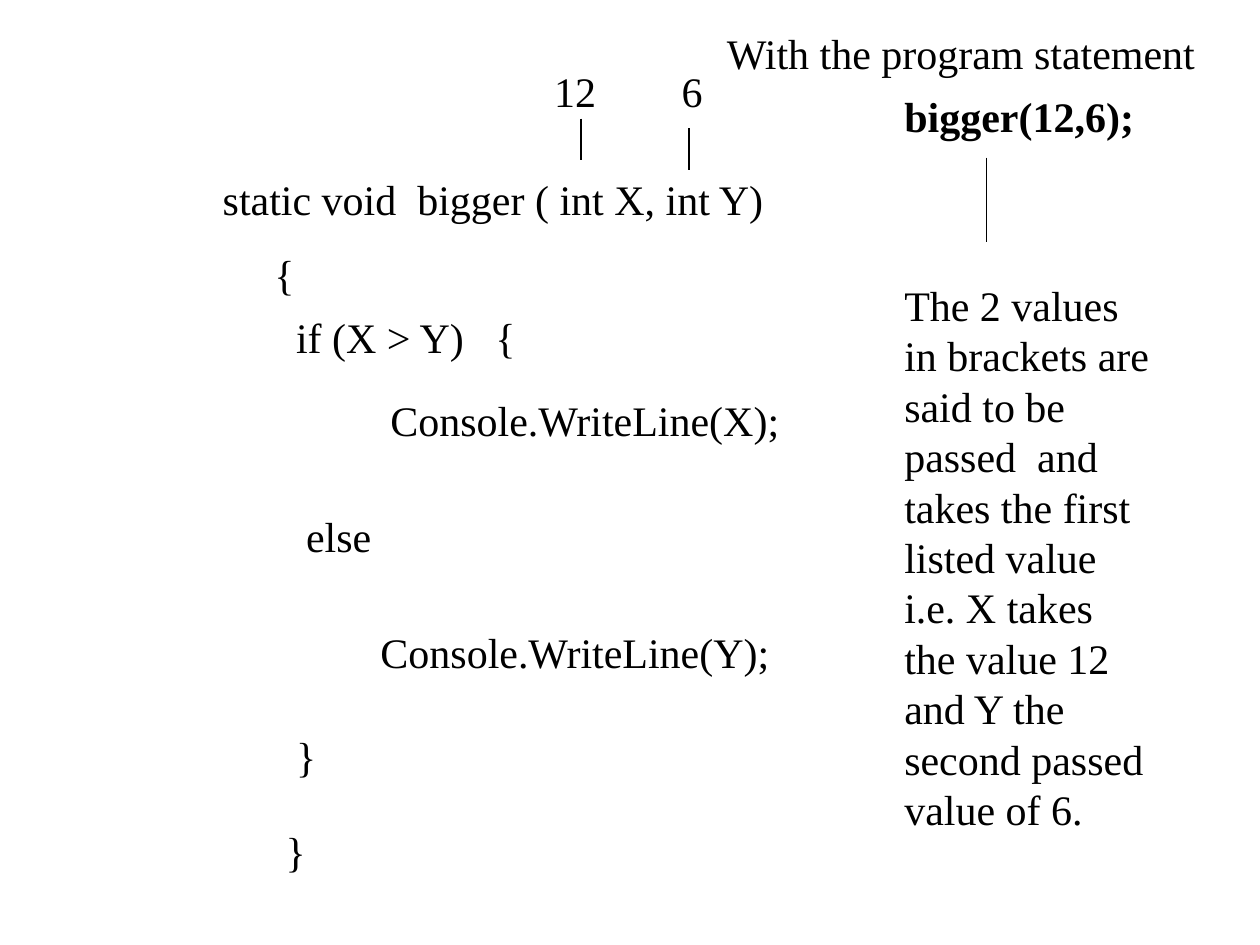
from dataclasses import dataclass

from lxml.etree import SubElement
from pptx import Presentation
from pptx.dml.color import RGBColor
from pptx.enum.shapes import MSO_CONNECTOR as Connector
from pptx.enum.text import MSO_ANCHOR as Anchor, MSO_AUTO_SIZE as AutoSize, PP_ALIGN as Align
from pptx.oxml.ns import qn
from pptx.util import Cm, Pt


@dataclass(frozen=True)
class Theme:
    font: str = "Times New Roman"
    size: int = 24
    ink: RGBColor = RGBColor(0, 0, 0)
    paper: RGBColor = RGBColor(255, 255, 255)
    line_width: float = 0.75


THEME = Theme()
ROW_HEIGHT = 1.27
NOTE_LEFT = 17.98

# Code lines: left, top, width (cm), wording
CODE = [
    (4.24, 3.38, 16.31, "static void  bigger ( int X, int Y)"),
    (5.28, 4.88, 2.11, "{"),
    (5.72, 6.15, 5.92, "if (X > Y)   {"),
    (7.62, 7.82, 9.53, "Console.WriteLine(X);"),
    (5.92, 10.16, 2.74, "else"),
    (7.42, 12.5, 8.89, "Console.WriteLine(Y);"),
    (5.72, 14.6, 3.18, "}"),
    (5.51, 16.51, 5.28, "}"),
]

# Passed values above the parameters
VALUES = [(10.92, 1.19, 1.7, "12"), (13.49, 1.19, 1.47, "6")]

# Vertical links: x, top, length (cm)
LINKS = [(11.71, 2.39, 0.84), (13.89, 2.59, 0.84), (19.89, 3.18, 1.7)]

EXPLANATION = (
    "The 2 values in brackets are said to be passed  and takes the first listed value "
    "i.e. X takes the value 12 and Y the second passed value of 6."
)


def write_text(box, text, bold=False):
    frame = box.text_frame
    frame.word_wrap = True
    frame.auto_size = AutoSize.SHAPE_TO_FIT_TEXT
    frame.vertical_anchor = Anchor.TOP
    para = frame.paragraphs[0]
    para.alignment = Align.LEFT
    span = para.add_run()
    span.text = text
    span.font.name = THEME.font
    span.font.size = Pt(THEME.size)
    span.font.bold = bold
    span.font.color.rgb = THEME.ink


def add_text(page, left, top, width, text, height=ROW_HEIGHT, bold=False):
    box = page.shapes.add_textbox(Cm(left), Cm(top), Cm(width), Cm(height))
    write_text(box, text, bold)


def place_title(page, left, top, width, text):
    title = page.shapes.title
    title.left, title.top = Cm(left), Cm(top)
    title.width, title.height = Cm(width), Cm(ROW_HEIGHT)
    write_text(title, text)


def add_link(page, x, top, length):
    link = page.shapes.add_connector(
        Connector.STRAIGHT, Cm(x), Cm(top), Cm(x), Cm(top + length))
    link.line.color.rgb = THEME.ink
    link.line.width = Pt(THEME.line_width)
    SubElement(link._element.spPr, qn("a:effectLst"))


def main():
    deck = Presentation()
    deck.slide_width, deck.slide_height = Cm(25.4), Cm(19.05)
    page = deck.slides.add_slide(deck.slide_layouts[5])
    page.background.fill.solid()
    page.background.fill.fore_color.rgb = THEME.paper

    # Method listing with the values it receives
    for item in CODE + VALUES:
        add_text(page, *item)

    # Calling statement and its explanation
    place_title(page, 14.4, 0.43, 10.59, "With the program statement")
    add_text(page, NOTE_LEFT, 1.7, 5.28, "bigger(12,6);", bold=True)
    add_text(page, NOTE_LEFT, 5.51, 5.51, EXPLANATION, height=11.43)

    # Links between values, parameters and explanation
    for link in LINKS:
        add_link(page, *link)

    deck.save("out.pptx")


if __name__ == "__main__":
    main()
